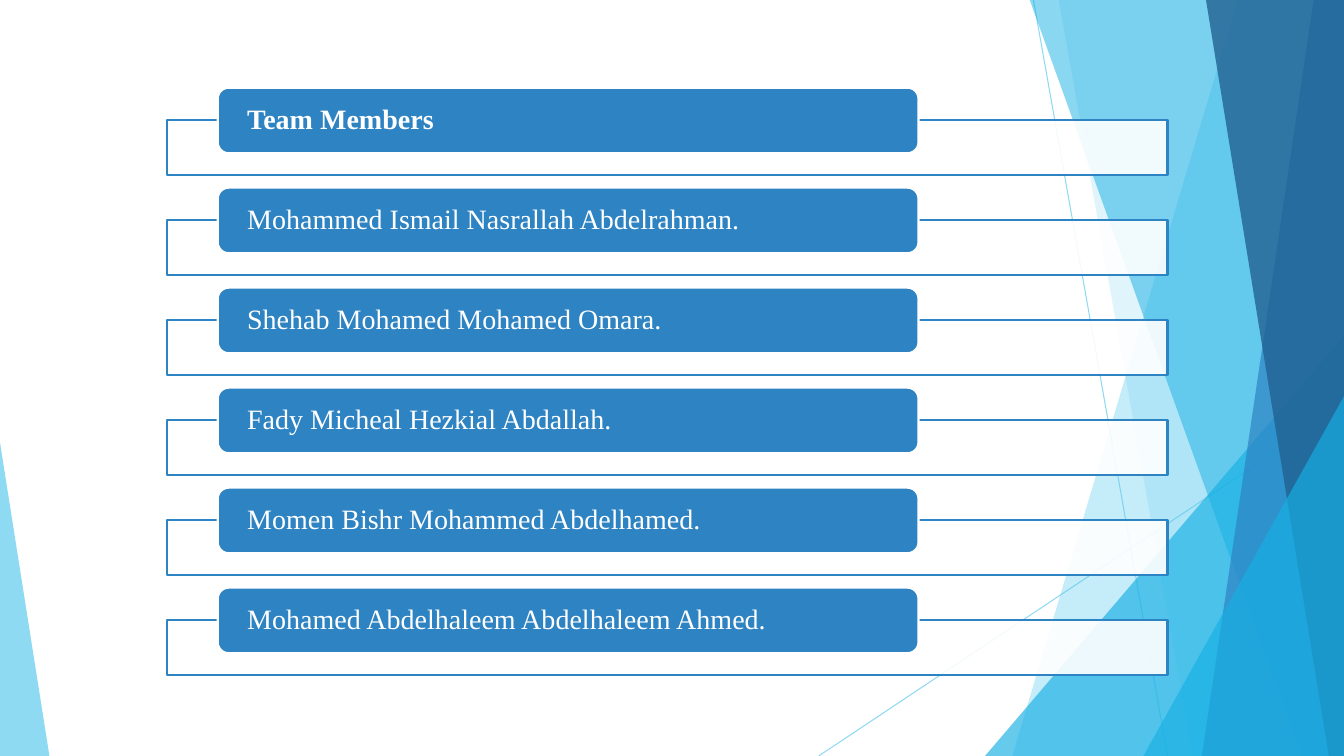
from lxml import etree
from pptx import Presentation
from pptx.dml.color import RGBColor
from pptx.enum.shapes import MSO_CONNECTOR, MSO_SHAPE
from pptx.enum.text import MSO_ANCHOR, PP_ALIGN
from pptx.oxml.ns import qn
from pptx.util import Inches, Pt

WHITE = RGBColor(0xFF, 0xFF, 0xFF)
SKY = RGBColor(0x5F, 0xCB, 0xEF)
CYAN = RGBColor(0x17, 0xB0, 0xE4)
BLUE = RGBColor(0x2E, 0x83, 0xC3)
NAVY = RGBColor(0x22, 0x62, 0x92)

WIDTH, HEIGHT = 13.33, 7.5
TOP = -0.01

MEMBERS = [
    "Team Members",
    "Mohammed Ismail Nasrallah Abdelrahman.",
    "Shehab Mohamed Mohamed Omara.",
    "Fady Micheal Hezkial Abdallah.",
    "Momen Bishr Mohammed Abdelhamed.",
    "Mohamed Abdelhaleem Abdelhaleem Ahmed.",
]
FIRST_ROW, LAST_ROW = 1.19, 6.15
ROW_PITCH = (LAST_ROW - FIRST_ROW) / (len(MEMBERS) - 1)


def set_opacity(color_format, percent):
    color = color_format._xFill.find(qn("a:srgbClr"))
    etree.SubElement(color, qn("a:alpha")).set("val", str(percent * 1000))


def paint(shape, color, opacity=100):
    shape.shadow.inherit = False
    shape.fill.solid()
    shape.fill.fore_color.rgb = color
    if opacity < 100:
        set_opacity(shape.fill.fore_color, opacity)
    shape.line.fill.background()


presentation = Presentation()
presentation.slide_width = Inches(WIDTH)
presentation.slide_height = Inches(HEIGHT)
slide = presentation.slides.add_slide(presentation.slide_layouts[6])
shapes = slide.shapes

for x1, y1, x2, y2 in [(10.25, 0, 11.58, HEIGHT), (WIDTH, 4.03, 8.12, HEIGHT)]:
    connector = shapes.add_connector(
        MSO_CONNECTOR.STRAIGHT, Inches(x1), Inches(y1), Inches(x2), Inches(y2))
    connector.line.width = Pt(0.75)
    connector.line.color.rgb = SKY
    set_opacity(connector.line.fill.fore_color, 70)
    etree.SubElement(connector._element.spPr, qn("a:effectLst"))

facets = [
    ("band", 12.28, 10.04, SKY, 36),
    ("band", 10.5, 11.83, SKY, 20),
    ("triangle", 9.77, 3.33, 3.56, 1, CYAN, 66),
    ("band", 10.21, 12.91, CYAN, 50),
    ("band", 13.03, 11.92, BLUE, 70),
    ("band", 11.96, 13.18, NAVY, 80),
    ("triangle", 11.34, 3.93, 1.99, 1, CYAN, 66),
    ("triangle", 0, 4.39, 0.49, 0, SKY, 70),
]
for kind, *geometry, color, opacity in facets:
    if kind == "band":
        top_x, bottom_x = geometry
        builder = shapes.build_freeform(Inches(top_x), Inches(TOP))
        corners = [(WIDTH, TOP), (WIDTH, HEIGHT), (bottom_x, HEIGHT)]
        builder.add_line_segments([(Inches(x), Inches(y)) for x, y in corners], close=True)
        facet = builder.convert_to_shape()
    else:
        left, top, width, apex = geometry
        facet = shapes.add_shape(
            MSO_SHAPE.ISOSCELES_TRIANGLE,
            Inches(left), Inches(top), Inches(width), Inches(HEIGHT - top))
        facet.adjustments[0] = apex
    paint(facet, color, opacity)

for index, member in enumerate(MEMBERS):
    row_top = FIRST_ROW + index * ROW_PITCH

    frame = shapes.add_shape(
        MSO_SHAPE.RECTANGLE, Inches(1.66), Inches(row_top), Inches(9.92), Inches(0.55))
    paint(frame, WHITE, 90)
    frame.line.color.rgb = BLUE
    frame.line.width = Pt(1.5)

    label = shapes.add_shape(
        MSO_SHAPE.ROUNDED_RECTANGLE,
        Inches(2.16), Inches(row_top - 0.32), Inches(6.95), Inches(0.65))
    paint(label, BLUE)
    label.line.color.rgb = WHITE
    label.line.width = Pt(1.5)

    text_frame = label.text_frame
    text_frame.text = member
    text_frame.word_wrap = True
    text_frame.vertical_anchor = MSO_ANCHOR.MIDDLE
    text_frame.margin_left = text_frame.margin_right = Inches(0.26)
    text_frame.margin_top = text_frame.margin_bottom = 0
    paragraph = text_frame.paragraphs[0]
    paragraph.alignment = PP_ALIGN.LEFT
    paragraph.line_spacing = 0.9
    font = paragraph.runs[0].font
    font.name = "Times New Roman"
    font.size = Pt(20)
    font.bold = index == 0
    font.color.rgb = WHITE

presentation.save("out.pptx")
